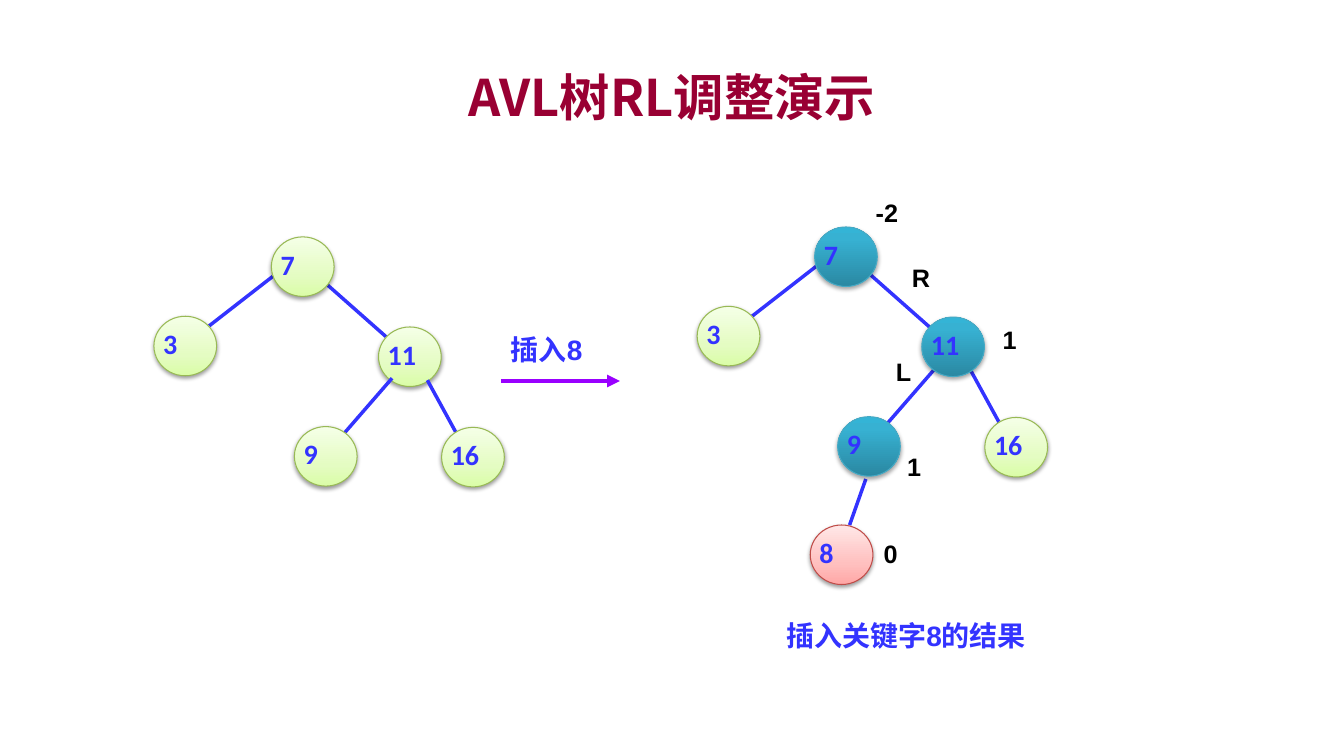
"""Build a slide showing the unbalanced AVL tree before an RL rotation."""
from dataclasses import dataclass
from typing import Any, Optional, Union

from lxml import etree
from pptx import Presentation
from pptx import util as u
from pptx.dml.color import RGBColor
from pptx.enum import shapes, text
from pptx.oxml import ns

Cm, Pt = u.Cm, u.Pt
CRIMSON = RGBColor(0x99, 0x00, 0x33)
BLUE = RGBColor(0x33, 0x33, 0xFF)
PURPLE = RGBColor(0x99, 0x00, 0xFF)
BLACK = RGBColor(0x00, 0x00, 0x00)
CJK_FONT = "Noto Sans CJK SC"
NODE_WIDTH, NODE_HEIGHT = 1.58, 1.5
RESULT_OFFSET = (13.69, -0.25)


@dataclass(frozen=True)
class NodeStyle:
    stops: tuple[tuple[int, RGBColor], ...]
    outline: RGBColor
    shadow_opacity: int
    shadow_distance: float


@dataclass(frozen=True)
class Node:
    key: int
    left: float
    top: float


@dataclass(frozen=True)
class Edge:
    start: tuple[float, float]
    end: tuple[float, float]


@dataclass(frozen=True)
class Label:
    words: str
    left: float
    top: float
    width: float
    height: float = 1.02
    size: int = 18
    color: RGBColor = BLACK
    font: str = "Arial"
    align: Optional[text.PP_ALIGN] = None
    line_spacing: Optional[float] = None
    anchor: text.MSO_ANCHOR = text.MSO_ANCHOR.TOP


GREEN_STYLE = NodeStyle(
    ((0, RGBColor(0xDA, 0xFD, 0xA7)), (35, RGBColor(0xE4, 0xFC, 0xC2)),
     (100, RGBColor(0xF5, 0xFF, 0xE7))), RGBColor(0x98, 0xB9, 0x55), 38, 1.6)
RED_STYLE = NodeStyle(
    ((0, RGBColor(0xFF, 0xA6, 0xA5)), (35, RGBColor(0xFF, 0xC0, 0xBF)),
     (100, RGBColor(0xFF, 0xE7, 0xE7))), RGBColor(0xBF, 0x4C, 0x48), 38, 1.6)
TEAL_STYLE = NodeStyle(
    ((0, RGBColor(0x2A, 0x88, 0xA2)), (80, RGBColor(0x37, 0xB1, 0xD2)),
     (100, RGBColor(0x34, 0xB4, 0xD6))), RGBColor(0x46, 0xAA, 0xC5), 35, 1.8)

TREE: list[Union[Node, Edge]] = [
    Edge((8.23, 7.16), (9.78, 8.53)),
    Edge((6.88, 6.96), (5.08, 8.36)),
    Node(7, 6.84, 5.97),
    Node(3, 3.88, 7.97),
    Node(11, 9.54, 8.24),
    Edge((9.88, 9.53), (8.43, 11.2)),
    Node(9, 7.42, 10.75),
    Edge((10.77, 9.58), (11.53, 10.97)),
    Node(16, 11.13, 10.77),
]
INSERTED: list[Union[Node, Edge]] = [
    Edge((8.13, 12.32), (7.72, 13.48)),
    Node(8, 6.73, 13.48),
]
ROTATED_KEYS = (7, 11, 9)

JUSTIFIED = {"height": 1.35, "size": 20, "color": BLUE,
             "align": text.PP_ALIGN.JUSTIFY, "line_spacing": 1.3}
LABELS = [
    Label("AVL树RL调整演示", 2.54, 1.47, 28.78, 1.9, 36, CRIMSON, CJK_FONT,
          text.PP_ALIGN.CENTER, anchor=text.MSO_ANCHOR.MIDDLE),
    Label("0", 22.02, 13.44, 0.79),
    Label("1", 22.61, 11.25, 0.79),
    Label("1", 25.02, 8.05, 0.79),
    Label("-2", 21.82, 4.85, 1.19),
    Label("R", 22.73, 6.48, 0.99),
    Label("L", 22.33, 8.86, 0.99),
    Label("插入关键字8的结果", 19.56, 15.21, 7.01, **JUSTIFIED),
    Label("插入8", 12.62, 8.0, 2.39, **JUSTIFIED),
]


def apply_format(target: Any, values: dict[str, Any]) -> None:
    """Set every attribute named in the format values."""
    for name, value in values.items():
        setattr(target, name, value)


def write_text(paragraph: Any, words: str, size: int, font: str,
               color: RGBColor) -> None:
    """Add one bold run with Latin and East Asian fonts."""
    run = paragraph.add_run()
    run.text = words
    apply_format(run.font, {"size": Pt(size), "bold": True, "name": font})
    run.font.color.rgb = color
    east_asian = etree.SubElement(run.font._element, ns.qn("a:ea"))
    east_asian.set("typeface", CJK_FONT)


def add_color(parent: Any, color: RGBColor) -> Any:
    """Add a colour element to the parent."""
    element = etree.SubElement(parent, ns.qn("a:srgbClr"))
    element.set("val", str(color))
    return element


def paint_node(shape: Any, style: NodeStyle) -> None:
    """Give a node its upward gradient, outline and soft shadow."""
    shape.fill.gradient()
    shape.fill.gradient_angle = 90
    stop_list = shape._element.spPr.find(".//" + ns.qn("a:gsLst"))
    for stop in list(stop_list):
        stop_list.remove(stop)
    for position, color in style.stops:
        stop = etree.SubElement(stop_list, ns.qn("a:gs"))
        stop.set("pos", str(position * 1000))
        add_color(stop, color)
    shape.line.color.rgb = style.outline
    shape.line.width = Pt(0.75)
    shape.shadow.inherit = False
    effects = shape._element.spPr.find(ns.qn("a:effectLst"))
    shadow = etree.SubElement(effects, ns.qn("a:outerShdw"))
    for name, value in {"blurRad": Pt(3.1), "dist": Pt(style.shadow_distance),
                        "dir": 5400000, "rotWithShape": 0}.items():
        shadow.set(name, str(int(value)))
    alpha = etree.SubElement(add_color(shadow, BLACK), ns.qn("a:alpha"))
    alpha.set("val", str(style.shadow_opacity * 1000))


def draw_node(slide: Any, node: Node, style: NodeStyle,
              offset: tuple[float, float]) -> None:
    """Draw a tree node with its key."""
    shape = slide.shapes.add_shape(
        shapes.MSO_SHAPE.OVAL, Cm(node.left + offset[0]), Cm(node.top + offset[1]),
        Cm(NODE_WIDTH), Cm(NODE_HEIGHT))
    paint_node(shape, style)
    apply_format(shape.text_frame, {
        "margin_left": 0, "margin_right": 0, "margin_top": Cm(0.2),
        "margin_bottom": 0, "vertical_anchor": text.MSO_ANCHOR.TOP})
    paragraph = shape.text_frame.paragraphs[0]
    apply_format(paragraph, {"alignment": text.PP_ALIGN.LEFT, "line_spacing": 0.8})
    write_text(paragraph, str(node.key), 20, "Calibri", BLUE)


def draw_edge(slide: Any, edge: Edge, offset: tuple[float, float] = (0, 0),
              color: RGBColor = BLUE, width: float = 2.5) -> Any:
    """Draw a straight line without a shadow."""
    ends = [Cm(point[axis] + offset[axis])
            for point in (edge.start, edge.end) for axis in (0, 1)]
    connector = slide.shapes.add_connector(shapes.MSO_CONNECTOR.STRAIGHT, *ends)
    connector.line.color.rgb = color
    connector.line.width = Pt(width)
    etree.SubElement(connector._element.spPr, ns.qn("a:effectLst"))
    return connector


def draw_tree(slide: Any, items: list[Union[Node, Edge]], style: NodeStyle,
              offset: tuple[float, float] = (0, 0)) -> None:
    """Draw nodes and edges in order."""
    for item in items:
        if isinstance(item, Node):
            draw_node(slide, item, style, offset)
        else:
            draw_edge(slide, item, offset)


def draw_label(slide: Any, label: Label) -> None:
    """Draw a text label."""
    box = slide.shapes.add_textbox(
        Cm(label.left), Cm(label.top), Cm(label.width), Cm(label.height))
    apply_format(box.text_frame, {"word_wrap": True, "vertical_anchor": label.anchor})
    paragraph = box.text_frame.paragraphs[0]
    apply_format(paragraph, {"alignment": label.align, "line_spacing": label.line_spacing})
    write_text(paragraph, label.words, label.size, label.font, label.color)


def main() -> None:
    """Build and save the presentation."""
    presentation = Presentation()
    apply_format(presentation, {"slide_width": Cm(33.87), "slide_height": Cm(19.05)})
    slide = presentation.slides.add_slide(presentation.slide_layouts[6])
    rotated = [item for item in TREE
               if isinstance(item, Node) and item.key in ROTATED_KEYS]
    unchanged = [item for item in TREE if item not in rotated]
    draw_tree(slide, TREE, GREEN_STYLE)
    draw_tree(slide, unchanged, GREEN_STYLE, RESULT_OFFSET)
    draw_tree(slide, INSERTED, RED_STYLE, RESULT_OFFSET)
    draw_tree(slide, rotated, TEAL_STYLE, RESULT_OFFSET)
    arrow = draw_edge(slide, Edge((12.62, 9.6), (15.62, 9.6)), color=PURPLE, width=3)
    etree.SubElement(arrow.line._get_or_add_ln(), ns.qn("a:tailEnd")).set("type", "triangle")
    for label in LABELS:
        draw_label(slide, label)
    presentation.save("out.pptx")


if __name__ == "__main__":
    main()
